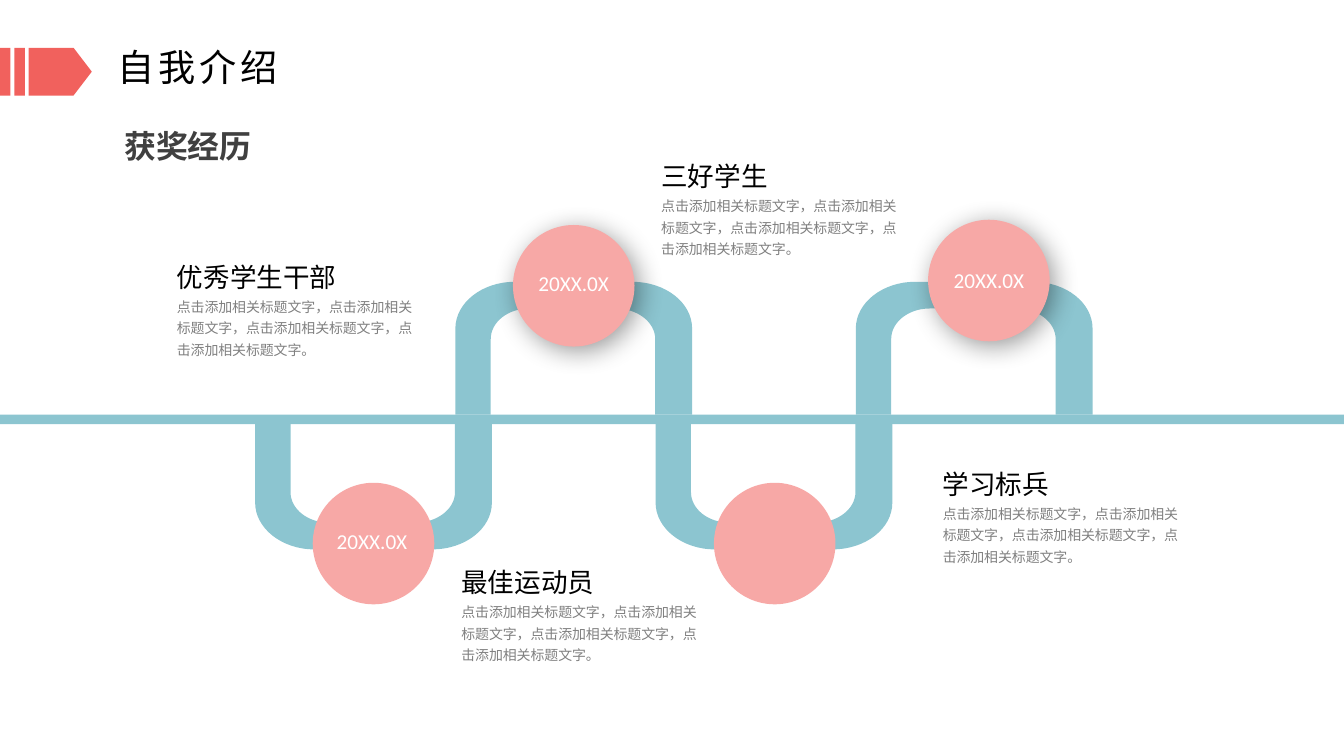
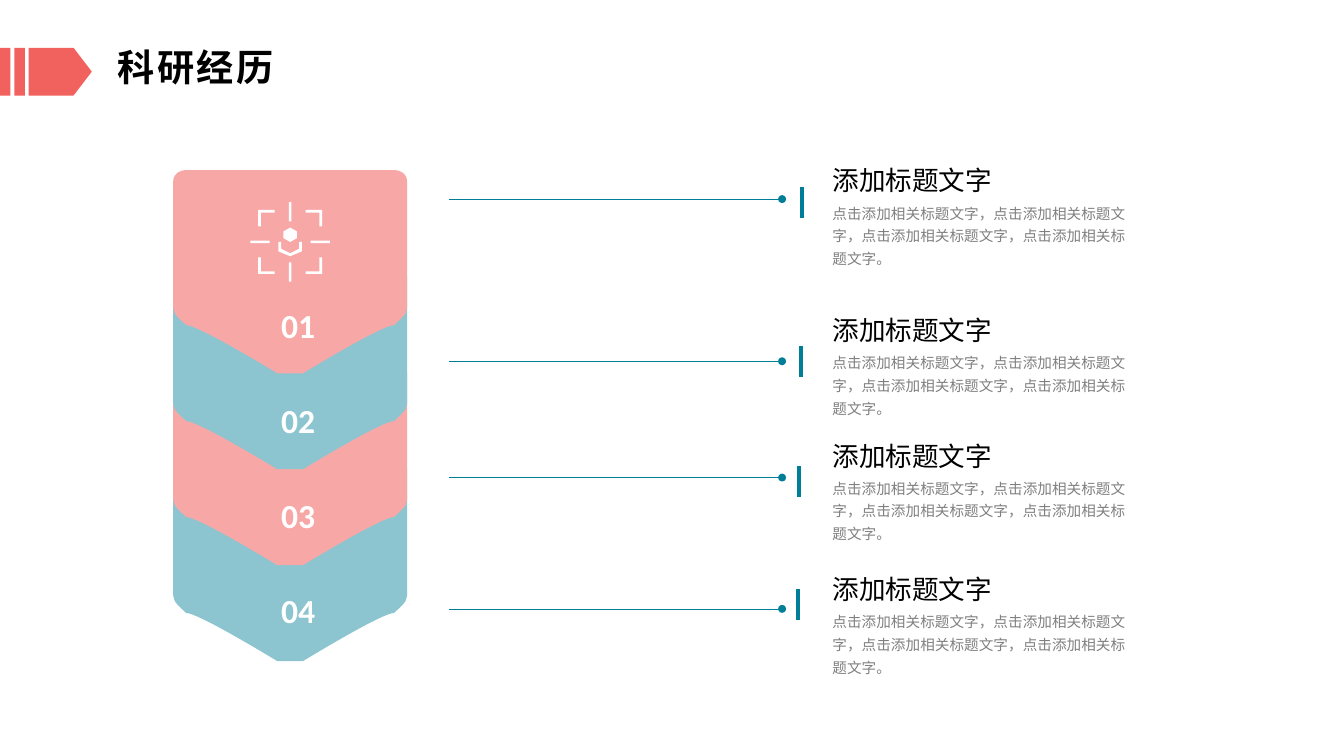
"""Build two slides: an awards timeline and a research chevron list."""
from lxml import etree
from pptx import Presentation
from pptx.dml.color import RGBColor
from pptx.enum.shapes import MSO_CONNECTOR, MSO_SHAPE
from pptx.enum.text import MSO_ANCHOR, PP_ALIGN
from pptx.oxml.ns import qn
from pptx.util import Cm, Pt

LINE = MSO_CONNECTOR.STRAIGHT
OVAL, RECT, PENTAGON = MSO_SHAPE.OVAL, MSO_SHAPE.RECTANGLE, MSO_SHAPE.PENTAGON
TOP, MIDDLE = MSO_ANCHOR.TOP, MSO_ANCHOR.MIDDLE
LEFT, CENTER = PP_ALIGN.LEFT, PP_ALIGN.CENTER

FONT = "Calibri"
SLIDE_W, SLIDE_H = 35.71, 20.09
COLORS = {"coral": "F1615D", "pink": "F7A8A6", "blue": "8CC5D0", "teal": "007E97",
          "black": "000000", "dark": "404040", "gray": "808080", "white": "FFFFFF"}

BODY = "，".join(["点击添加相关标题文字"] * 4) + "。"

AWARDS = [("优秀学生干部", 4.45, 6.55), ("最佳运动员", 12.01, 14.66),
          ("三好学生", 17.32, 3.87), ("学习标兵", 24.8, 12.05)]
# circle left, circle top, raised above the bar
CIRCLES = [(8.31, 12.83, False), (13.63, 5.98, True),
           (18.97, 12.83, False), (24.66, 5.84, True)]
DATES = [("20XX.0X", 8.5, 14.05), ("20XX.0X", 13.86, 7.19), ("20XX.0X", 24.89, 7.12)]
CIRCLE_D = 3.23
BEND_X, BEND_STEP = 6.78, 5.32
BAR_Y, BAR_H = 11.02, 0.25

# heading top, leader y, tick x, tick top
TOPICS = [("添加标题文字", 3.99, 5.29, 21.32, 4.98),
          ("添加标题文字", 7.97, 9.6, 21.29, 9.19),
          ("添加标题文字", 11.3, 12.69, 21.23, 12.39),
          ("添加标题文字", 14.85, 16.18, 21.21, 15.65)]
CHEVRON_X, CHEVRON_Y, CHEVRON_STEP = 4.6, 4.52, 2.55
ICON_X, ICON_Y = 7.71, 6.43

# two numbers make a straight segment, six a cubic curve
BEND = [(0, 0), (0.94, 0), (0.94, 2.01), (0.94, 2.46, 1.4, 2.82, 1.96, 2.82),
        (4.27, 2.82), (4.83, 2.82, 5.31, 2.46, 5.31, 2.01), (5.31, 0), (6.29, 0),
        (6.29, 2.29), (6.29, 2.97, 5.59, 3.53, 4.7, 3.53), (1.57, 3.53),
        (0.71, 3.53, 0, 2.97, 0, 2.29)]
CHEVRON = [(5.87, 0), (5.87, 0, 6.22, 0, 6.22, 0.32), (6.22, 0.32, 6.22, 3.17, 6.22, 3.49),
           (6.22, 3.8, 6.22, 3.8, 5.87, 4.12), (5.54, 4.12, 3.45, 5.4, 3.45, 5.4),
           (3.1, 5.4, 3.1, 5.4, 2.77, 5.4), (2.77, 5.4, 0.68, 4.12, 0.35, 4.12),
           (0, 3.8, 0, 3.8, 0, 3.49), (0, 3.17, 0, 0.32, 0, 0.32),
           (0, 0, 0.35, 0, 0.35, 0)]
CORNER = [(0.41, 0.85), (0.85, 0.85), (0.85, 0.41), (0.78, 0.41), (0.78, 0.78), (0.41, 0.78)]
HEXAGON = [(0, -0.38), (-0.18, -0.28), (-0.18, -0.1), (0, 0), (0.18, -0.1), (0.18, -0.28)]
CUP = [(-0.31, 0), (-0.31, 0.25), (0, 0.38), (0.31, 0.25), (0.31, 0),
       (0.24, 0), (0.24, 0.18), (0, 0.3), (-0.24, 0.18), (-0.24, 0)]


def rgb(name):
    return RGBColor.from_string(COLORS[name])


def paint(sp, color):
    sp.shadow.inherit = False
    sp.fill.solid()
    sp.fill.fore_color.rgb = rgb(color)
    sp.line.fill.background()
    return sp


def add_shape(s, kind, x, y, w, h, color):
    return paint(s.shapes.add_shape(kind, Cm(x), Cm(y), Cm(w), Cm(h)), color)


def add_outline(s, segments, x, y, color, sx=1, sy=1):
    placed = [[(Cm(x + sx * px), Cm(y + sy * py)) for px, py in zip(seg[::2], seg[1::2])]
              for seg in segments]
    builder = s.shapes.build_freeform(*placed[0][-1])
    builder.add_line_segments([points[-1] for points in placed[1:]], close=True)
    sp = builder.convert_to_shape()
    straights = list(sp._element.iter(qn("a:lnTo")))
    for straight, points in zip(straights, placed[1:]):
        if len(points) == 3:
            curve = etree.Element(qn("a:cubicBezTo"))
            for px, py in points:
                etree.SubElement(curve, qn("a:pt"), x=str(px - sp.left), y=str(py - sp.top))
            straight.getparent().replace(straight, curve)
    return paint(sp, color)


def add_text(s, text, x, y, w, h, size, color, bold=False, align=LEFT, spacing=1.0,
             anchor=TOP, wrap=True, tracking=0):
    tf = s.shapes.add_textbox(Cm(x), Cm(y), Cm(w), Cm(h)).text_frame
    tf.word_wrap = wrap
    tf.vertical_anchor = anchor
    p = tf.paragraphs[0]
    p.text = text
    p.alignment = align
    p.line_spacing = spacing
    for r in p.runs:
        r.font.name = FONT
        r.font.size = Pt(size)
        r.font.bold = bold
        r.font.color.rgb = rgb(color)
        if tracking:
            r.font._element.set("spc", str(tracking * 100))


def add_line(s, x1, y1, x2, y2, width, dot=False):
    ln = s.shapes.add_connector(LINE, Cm(x1), Cm(y1), Cm(x2), Cm(y2))
    ln.line.color.rgb = rgb("teal")
    ln.line.width = Pt(width)
    if dot:
        etree.SubElement(ln.line._get_or_add_ln(), qn("a:headEnd"), type="oval")
    etree.SubElement(ln._element.spPr, qn("a:effectLst"))


def cast_shadow(sp):
    effects = sp._element.spPr.find(qn("a:effectLst"))
    shadow = etree.SubElement(effects, qn("a:outerShdw"), blurRad=str(Pt(20)),
                              dist=str(Pt(5)), dir="2700000", algn="tl", rotWithShape="0")
    color = etree.SubElement(shadow, qn("a:srgbClr"), val=COLORS["black"])
    etree.SubElement(color, qn("a:alpha"), val="40000")


def add_entry(s, heading, x, y, gap, w, h, size):
    add_text(s, BODY, x, y + gap, w, h, size, "gray", spacing=1.3)
    add_text(s, heading, x, y, 0.51 + 0.71 * len(heading), 1.27, 20, "black",
             spacing=1.3, wrap=False)


def add_title(s, title, bold, tracking):
    tag = add_shape(s, PENTAGON, 0.76, 1.27, 1.68, 1.27, "coral")
    tag.adjustments[0] = 0.382
    for x in (0.38, 0):
        add_shape(s, RECT, x, 1.27, 0.28, 1.27, "coral")
    add_text(s, title, 2.87, 1.1, 9.37, 1.47, 28, "black", bold=bold,
             spacing=0.9, anchor=MIDDLE, tracking=tracking)


def build_awards(prs):
    s = prs.slides.add_slide(prs.slide_layouts[6])
    for i, (x, y, raised) in enumerate(CIRCLES):
        base, sy = (BAR_Y, -1) if raised else (BAR_Y + 0.05, 1)
        add_outline(s, BEND, BEND_X + i * BEND_STEP, base, "blue", sy=sy)
        circle = add_shape(s, OVAL, x, y, CIRCLE_D, CIRCLE_D, "pink")
        if raised:
            cast_shadow(circle)
    add_shape(s, RECT, 0, BAR_Y, SLIDE_W, BAR_H, "blue")
    for heading, x, y in AWARDS:
        add_entry(s, heading, x, y, 1.12, 6.83, 2.01, 10.5)
    add_title(s, "自我介绍", False, 3)
    add_text(s, "获奖经历", 3.05, 3.25, 8.74, 1.27, 24, "dark", bold=True)
    for date, x, y in DATES:
        add_text(s, date, x, y, 2.77, 0.81, 16, "white", align=CENTER, spacing=0.8)


def add_focus_icon(s):
    for sx in (-1, 1):
        for sy in (-1, 1):
            add_outline(s, CORNER, ICON_X, ICON_Y, "white", sx, sy)
    for dx, dy in ((-1, 0), (1, 0), (0, 1), (0, -1)):
        w, h = (0.51, 0.07) if dx else (0.07, 0.51)
        add_shape(s, RECT, ICON_X + 0.8 * dx - w / 2, ICON_Y + 0.8 * dy - h / 2, w, h, "white")
    for segments in (HEXAGON, CUP):
        add_outline(s, segments, ICON_X, ICON_Y, "white")


def build_research(prs):
    s = prs.slides.add_slide(prs.slide_layouts[6])
    for i in reversed(range(len(TOPICS))):
        add_outline(s, CHEVRON, CHEVRON_X, CHEVRON_Y + i * CHEVRON_STEP,
                    "blue" if i % 2 else "pink")
    for i, (heading, y, leader_y, tick_x, tick_y) in enumerate(TOPICS):
        add_line(s, 20.78, leader_y, 11.94, leader_y, 0.5, dot=True)
        add_line(s, tick_x, tick_y, tick_x, tick_y + 0.82, 3)
        add_text(s, f"{i + 1:02}", 5.95, 7.67 + i * 2.52, 3.94, 1.65, 25.3, "white",
                 bold=True, align=CENTER, spacing=1.3)
        add_entry(s, heading, 21.87, y, 1.18, 8.38, 2.08, 11)
    add_focus_icon(s)
    add_title(s, "科研经历", True, 2)


def main():
    prs = Presentation()
    prs.slide_width, prs.slide_height = Cm(SLIDE_W), Cm(SLIDE_H)
    build_awards(prs)
    build_research(prs)
    prs.save("out.pptx")


if __name__ == "__main__":
    main()
